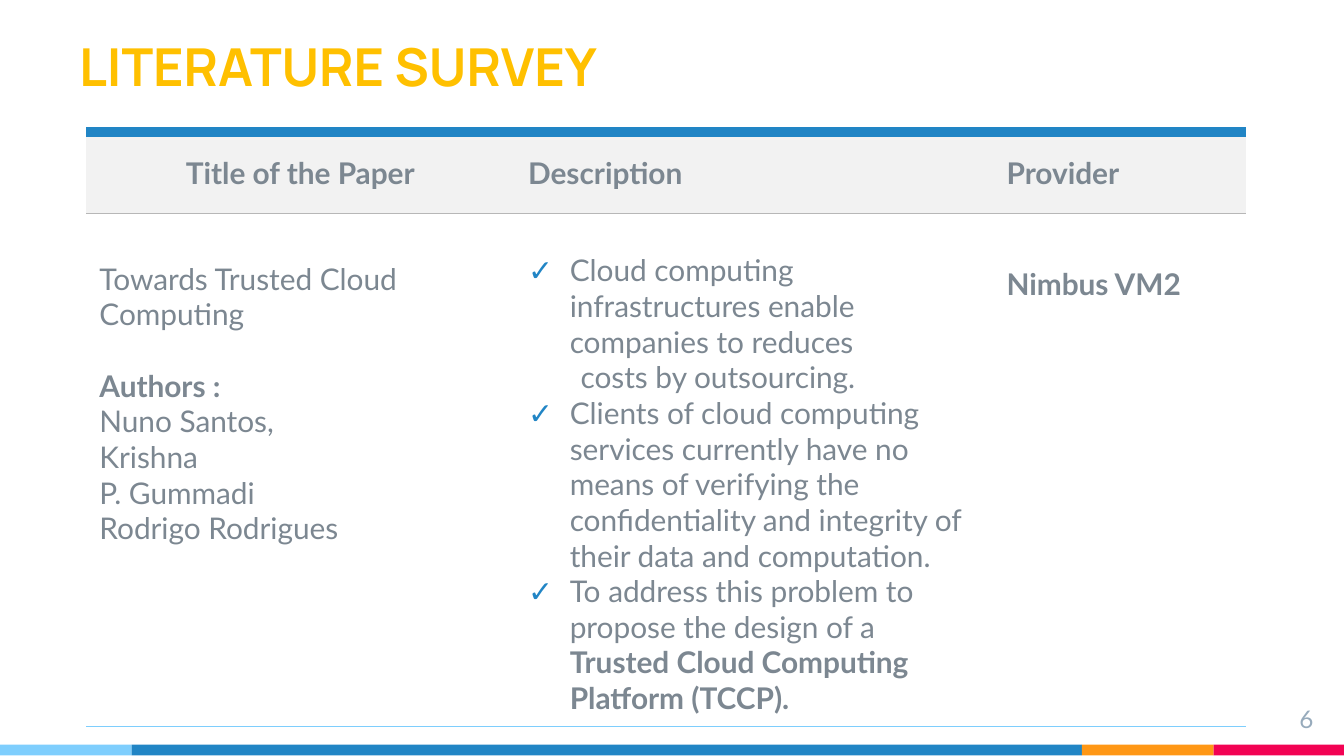
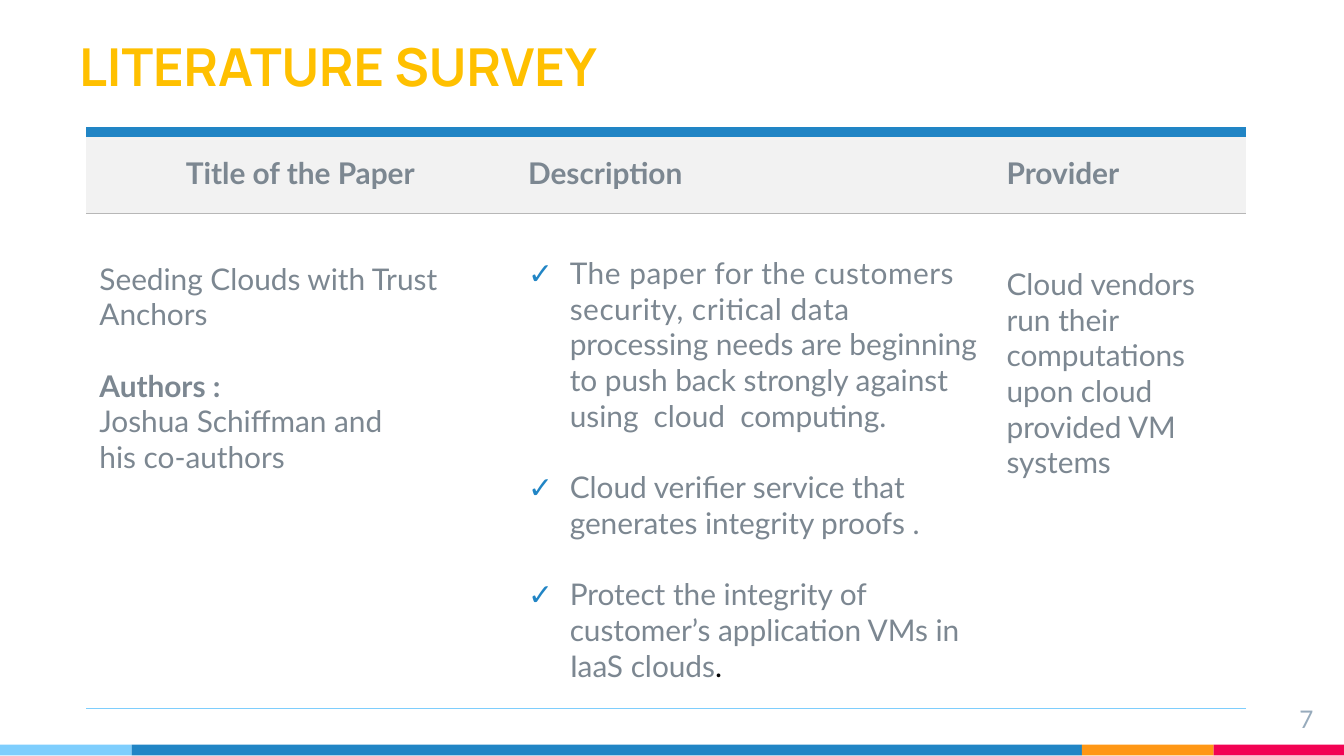
import dataclasses
import typing

import lxml.etree
import pptx
import pptx.dml.color
import pptx.enum.shapes
import pptx.enum.text
import pptx.oxml.ns
import pptx.util

Inches = pptx.util.Inches
Pt = pptx.util.Pt
ALIGN = pptx.enum.text.PP_ALIGN
ANCHOR = pptx.enum.text.MSO_ANCHOR

BLUE, SKY, ORANGE, PINK = "2185C5", "7ECEFD", "FF9715", "F20253"
YELLOW, GREY, PALE_GREY, RULE, NUMBER = "FFC000", "7C8791", "F2F2F2", "B7B7B7", "97ABBC"
LINE_GAP = 19.2
HANG = 0.31
FOOTER_TOP, FOOTER_HEIGHT = 5.54, 0.08
COLUMNS = (3.19, 3.56, 1.88)
ROWS = (0.61, 3.68)
HEADINGS = ("Title of the Paper", "Description", "Provider")


@dataclasses.dataclass(frozen=True)
class Run:
    text: str
    bold: bool = False
    color: str = GREY
    spacing: float = 0


@dataclasses.dataclass(frozen=True)
class Para:
    runs: tuple[Run, ...]
    before: float = 0
    bullet: bool = False
    margin: float = 0
    align: typing.Any = None


@dataclasses.dataclass(frozen=True)
class Cell:
    paras: tuple[Para, ...]
    top: float = 0.07
    bottom: float = 0.07
    anchor: typing.Any = ANCHOR.TOP


@dataclasses.dataclass(frozen=True)
class Survey:
    number: int
    cells: tuple[Cell, ...]


@dataclasses.dataclass(frozen=True)
class Band:
    width: float
    color: str


BANDS = (Band(0.98, SKY), Band(7.07, BLUE), Band(0.98, ORANGE), Band(0.97, PINK))


def plain(text: str, **options: typing.Any) -> Para:
    return Para((Run(text),), **options)


def check(*runs: Run, before: float = 0) -> Para:
    return Para(runs, before, bullet=True)


def paper(title: str, *authors: str) -> Cell:
    label = Para((Run("Authors :", bold=True),), before=LINE_GAP)
    return Cell((plain(title), label, *map(plain, authors)), top=0.35)


SURVEYS = (
    Survey(6, (
        paper("Towards Trusted Cloud Computing",
              "Nuno Santos,", "Krishna", "P. Gummadi", "Rodrigo Rodrigues"),
        Cell((
            check(Run("Cloud computing infrastructures enable companies to reduces")),
            plain("costs by outsourcing.", margin=0.39),
            check(Run("Clients of cloud computing services currently have no means of "
                      "verifying the confidentiality and integrity of their data and "
                      "computation.")),
            check(Run("To address this problem to propose the design of a "),
                  Run("Trusted Cloud Computing Platform (TCCP).", bold=True)),
        ), top=0.28, anchor=ANCHOR.MIDDLE),
        Cell((Para((Run("Nimbus VM2", bold=True),)),), top=0.39),
    )),
    Survey(7, (
        paper("Seeding Clouds with Trust Anchors",
              "Joshua Schiffman and", "his co-authors"),
        Cell((
            check(Run("The paper for the customers security, critical data ", spacing=0.3),
                  Run("processing needs are beginning to push back strongly against "
                      "using  cloud  computing.")),
            check(Run("Cloud verifier service that generates integrity proofs ."),
                  before=LINE_GAP),
            check(Run("Protect the integrity of customer’s application VMs in IaaS clouds"),
                  Run(".", color="000000"), before=LINE_GAP),
        ), top=0.31, bottom=0.12),
        Cell((plain("Cloud vendors run their computations upon cloud provided VM systems"),),
             top=0.39),
    )),
)


def rgb(color: str) -> pptx.dml.color.RGBColor:
    return pptx.dml.color.RGBColor.from_string(color)


def add_xml(parent: typing.Any, tag: str, **attributes: str) -> typing.Any:
    return lxml.etree.SubElement(parent, pptx.oxml.ns.qn(tag), attributes)


def add_text(p: typing.Any, text: str, *, size: float = 16, font: str = "Lato",
             color: str = GREY, bold: bool = False, spacing: float = 0) -> None:
    r = p.add_run()
    r.text = text
    r.font.size = Pt(size)
    r.font.name = font
    r.font.bold = bold
    r.font.color.rgb = rgb(color)
    if spacing:
        r.font._element.set("spc", str(round(spacing * 100)))


def add_box(s: typing.Any, left: float, top: float, width: float, height: float,
            anchor: typing.Any) -> typing.Any:
    sp = s.shapes.add_textbox(Inches(left), Inches(top), Inches(width), Inches(height))
    tf = sp.text_frame
    tf.word_wrap = True
    tf.vertical_anchor = anchor
    tf.margin_left = tf.margin_right = tf.margin_top = tf.margin_bottom = Inches(0.1)
    return tf.paragraphs[0]


def add_footer(s: typing.Any, number: int) -> None:
    left = 0.0
    for band in BANDS:
        sp = s.shapes.add_shape(pptx.enum.shapes.MSO_SHAPE.RECTANGLE, Inches(left),
                                Inches(FOOTER_TOP), Inches(band.width), Inches(FOOTER_HEIGHT))
        sp.shadow.inherit = False
        sp.fill.solid()
        sp.fill.fore_color.rgb = rgb(band.color)
        sp.line.fill.background()
        left += band.width
    p = add_box(s, 9.27, 5.14, 0.6, 0.34, ANCHOR.TOP)
    p.alignment = ALIGN.RIGHT
    add_text(p, str(number), size=13, color=NUMBER)


def set_borders(cell: typing.Any, top: tuple[str, float], bottom: tuple[str, float]) -> None:
    tc_pr = cell._tc.get_or_add_tcPr()
    for side in ("L", "R"):
        add_xml(add_xml(tc_pr, f"a:ln{side}", w="0"), "a:noFill")
    for side, (color, width) in (("T", top), ("B", bottom)):
        line = add_xml(tc_pr, f"a:ln{side}", w=str(Pt(width)))
        add_xml(add_xml(line, "a:solidFill"), "a:srgbClr", val=color)


def fill_para(p: typing.Any, para: Para) -> None:
    p.alignment = para.align
    p.space_before = Pt(para.before)
    p_pr = p._p.get_or_add_pPr()
    p_pr.set("marL", str(Inches(HANG if para.bullet else para.margin)))
    p_pr.set("indent", str(Inches(-HANG if para.bullet else 0)))
    if para.bullet:
        add_xml(add_xml(p_pr, "a:buClr"), "a:srgbClr", val=BLUE)
        add_xml(p_pr, "a:buFont", typeface="Lato")
        add_xml(p_pr, "a:buChar", char="✓")
    for run in para.runs:
        add_text(p, run.text, color=run.color, bold=run.bold, spacing=run.spacing)


def fill_cell(cell: typing.Any, content: Cell) -> None:
    cell.margin_left = cell.margin_right = Inches(0.1)
    cell.margin_top, cell.margin_bottom = Inches(content.top), Inches(content.bottom)
    cell.vertical_anchor = content.anchor
    tf = cell.text_frame
    for i, para in enumerate(content.paras):
        fill_para(tf.add_paragraph() if i else tf.paragraphs[0], para)


def add_survey_table(s: typing.Any, cells: tuple[Cell, ...]) -> None:
    table = s.shapes.add_table(len(ROWS), len(COLUMNS), Inches(0.64), Inches(0.98),
                               Inches(sum(COLUMNS)), Inches(sum(ROWS))).table
    table.first_row = table.horz_banding = False
    for row, height in zip(table.rows, ROWS):
        row.height = Inches(height)
    for i, (width, heading, content) in enumerate(zip(COLUMNS, HEADINGS, cells)):
        table.columns[i].width = Inches(width)
        align = ALIGN.LEFT if i else ALIGN.CENTER
        header, body = table.cell(0, i), table.cell(1, i)
        fill_cell(header, Cell((Para((Run(heading, bold=True),), align=align),),
                               anchor=ANCHOR.MIDDLE))
        set_borders(header, (BLUE, 6), (RULE, 0.75))
        header.fill.solid()
        header.fill.fore_color.rgb = rgb(PALE_GREY)
        fill_cell(body, content)
        set_borders(body, (RULE, 0.75), (SKY, 0.75))
        body.fill.background()


def add_survey(prs: typing.Any, survey: Survey) -> None:
    s = prs.slides.add_slide(prs.slide_layouts[6])
    add_footer(s, survey.number)
    add_survey_table(s, survey.cells)
    p = add_box(s, 0.49, -0.12, 7.07, 0.94, ANCHOR.BOTTOM)
    add_text(p, "LITERATURE SURVEY", size=28, font="Manrope", color=YELLOW, bold=True)


def main() -> None:
    prs = pptx.Presentation()
    prs.slide_width = Inches(10)
    prs.slide_height = prs.slide_width * 9 // 16
    for survey in SURVEYS:
        add_survey(prs, survey)
    prs.save("out.pptx")


if __name__ == "__main__":
    main()
